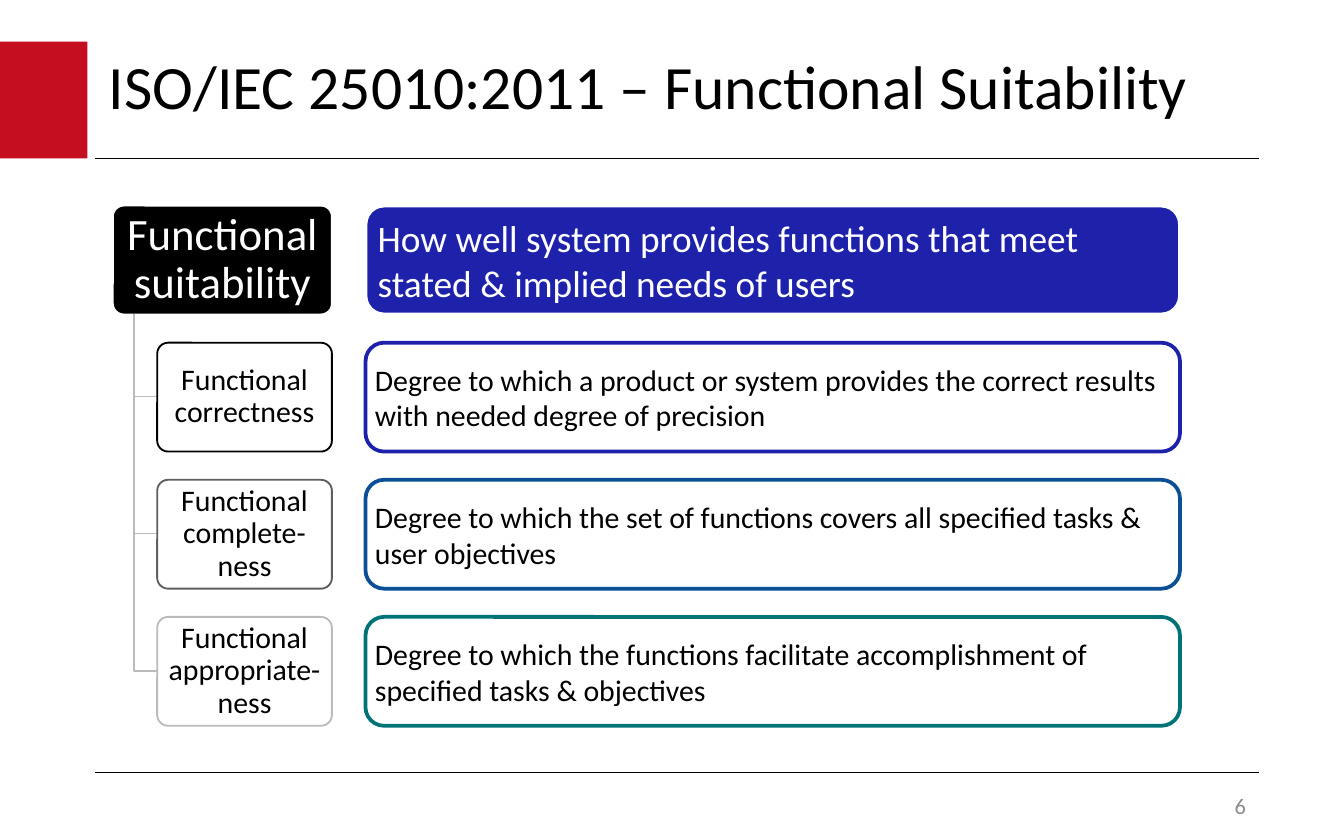
"""Build the functional suitability slide of the ISO/IEC 25010 deck."""
from dataclasses import dataclass

from lxml import etree
from pptx import Presentation
from pptx.dml.color import RGBColor
from pptx.enum.shapes import MSO_CONNECTOR, MSO_SHAPE
from pptx.enum.text import MSO_ANCHOR, MSO_AUTO_SIZE, PP_ALIGN
from pptx.oxml.ns import qn
from pptx.util import Pt

SCALE = 9144
TITLE_ONLY = 5
RECTANGLE, ROUNDED = MSO_SHAPE.RECTANGLE, MSO_SHAPE.ROUNDED_RECTANGLE
STRAIGHT = MSO_CONNECTOR.STRAIGHT
MIDDLE, NO_FIT = MSO_ANCHOR.MIDDLE, MSO_AUTO_SIZE.NONE
LEFT, CENTER, RIGHT = PP_ALIGN.LEFT, PP_ALIGN.CENTER, PP_ALIGN.RIGHT


@dataclass(frozen=True)
class Theme:
    font: str = "Calibri"
    ink: str = "000000"
    paper: str = "FFFFFF"
    accent: str = "C50E1F"
    primary: str = "1E22AA"
    secondary: str = "0C4F94"
    tertiary: str = "007377"
    stem: str = "5E5E5E"
    branch: str = "BBBBBB"
    muted: str = "8C8C8C"
    title: int = 33
    heading: int = 24
    lead: int = 20
    body: int = 16
    small: int = 12


def px(value):
    return value * SCALE


def apply(target, values):
    for name, value in values.items():
        setattr(target, name, value)


class SlideBuilder:
    def __init__(self, slide, theme):
        self.slide, self.shapes, self.theme = slide, slide.shapes, theme

    def fill_text(self, shape, text, size, color, align=LEFT, spacing=1.0, inset=(10, 5)):
        across, down = map(px, inset)
        frame = shape.text_frame
        apply(frame, {"word_wrap": True, "auto_size": NO_FIT, "vertical_anchor": MIDDLE,
                      "margin_left": across, "margin_right": across,
                      "margin_top": down, "margin_bottom": down})
        frame.text = text
        paragraph = frame.paragraphs[0]
        apply(paragraph, {"alignment": align, "line_spacing": spacing})
        apply(paragraph.font, {"name": self.theme.font, "size": Pt(size)})
        paragraph.font.color.rgb = RGBColor.from_string(color)

    def outline(self, shape, color, width):
        shape.line.color.rgb = RGBColor.from_string(color)
        shape.line.width = Pt(width)

    def title(self, text, left, top, width, height):
        shape = self.shapes.title
        apply(shape, {"left": px(left), "top": px(top), "width": px(width), "height": px(height)})
        self.fill_text(shape, text, self.theme.title, self.theme.ink, spacing=0.9)

    def text(self, text, left, top, width, height, **style):
        self.fill_text(self.shapes.add_textbox(*map(px, (left, top, width, height))), text, **style)

    def block(self, left, top, width, height, fill, kind=RECTANGLE):
        shape = self.shapes.add_shape(kind, *map(px, (left, top, width, height)))
        shape.shadow.inherit = False
        shape.fill.solid()
        shape.fill.fore_color.rgb = RGBColor.from_string(fill)
        shape.line.fill.background()
        return shape

    def card(self, text, box, fill, line, width, rounding, **style):
        shape = self.block(*box, fill, ROUNDED)
        shape.adjustments[0] = rounding
        self.outline(shape, line, width)
        self.fill_text(shape, text, **style)

    def rule(self, left, right, y):
        line = self.shapes.add_connector(STRAIGHT, px(left), px(y), px(right), px(y))
        self.outline(line, self.theme.ink, 0.75)
        etree.SubElement(line._element.spPr, qn("a:effectLst"))

    def elbow(self, x, top, right, bottom):
        builder = self.shapes.build_freeform(px(x), px(top))
        builder.add_line_segments([(px(x), px(bottom)), (px(right), px(bottom))], close=False)
        shape = builder.convert_to_shape()
        shape.shadow.inherit = False
        shape.fill.background()
        self.outline(shape, self.theme.branch, 1)


def main():
    theme = Theme()
    presentation = Presentation()
    apply(presentation, {"slide_width": px(1000), "slide_height": px(625)})
    slide = presentation.slides.add_slide(presentation.slide_layouts[TITLE_ONLY])
    builder = SlideBuilder(slide, theme)

    builder.block(0, 31, 65, 87, theme.accent)
    for y in (118, 575):
        builder.rule(71, 937, y)
    builder.title("ISO/IEC 25010:2011 – Functional Suitability", 71, 31, 866, 71)

    top, height, pitch = 153, 81, 102
    trunk, child_left, detail_left, detail_width = 100, 117, 272, 606
    label = {"rounding": 0.1, "width": 1, "align": CENTER, "spacing": 0.9}
    detail = {"rounding": 0.17, "width": 2}
    large, compact = {"inset": (5, 3)}, {"inset": (3, 2)}
    lead = {"size": theme.lead, "color": theme.paper}
    body = {"size": theme.body, "color": theme.ink}

    builder.card("Functional suitability", (84, top, 163, height), theme.ink, theme.paper,
                 size=theme.heading, color=theme.paper, **label, **large)
    builder.card("How well system provides functions that meet stated & implied needs of users",
                 (detail_left, top, detail_width, height), theme.primary, theme.paper,
                 **detail, **lead, **large)

    characteristics = [
        ("Functional correctness", theme.ink, theme.primary,
         "Degree to which a product or system provides the correct results "
         "with needed degree of precision"),
        ("Functional complete-ness", theme.stem, theme.secondary,
         "Degree to which the set of functions covers all specified tasks & user objectives"),
        ("Functional appropriate-ness", theme.branch, theme.tertiary,
         "Degree to which the functions facilitate accomplishment of specified tasks & objectives"),
    ]
    for row, (name, name_line, detail_line, meaning) in enumerate(characteristics, 1):
        y = top + row * pitch
        builder.elbow(trunk, top + height, child_left, y + height // 2)
        builder.card(name, (child_left, y, 130, height), theme.paper, name_line,
                     **label, **body, **compact)
        builder.card(meaning, (detail_left, y, detail_width, height), theme.paper, detail_line,
                     **detail, **body, **compact)

    builder.text("6", 734, 587, 203, 25, size=theme.small, color=theme.muted, align=RIGHT)
    presentation.save("out.pptx")


if __name__ == "__main__":
    main()
